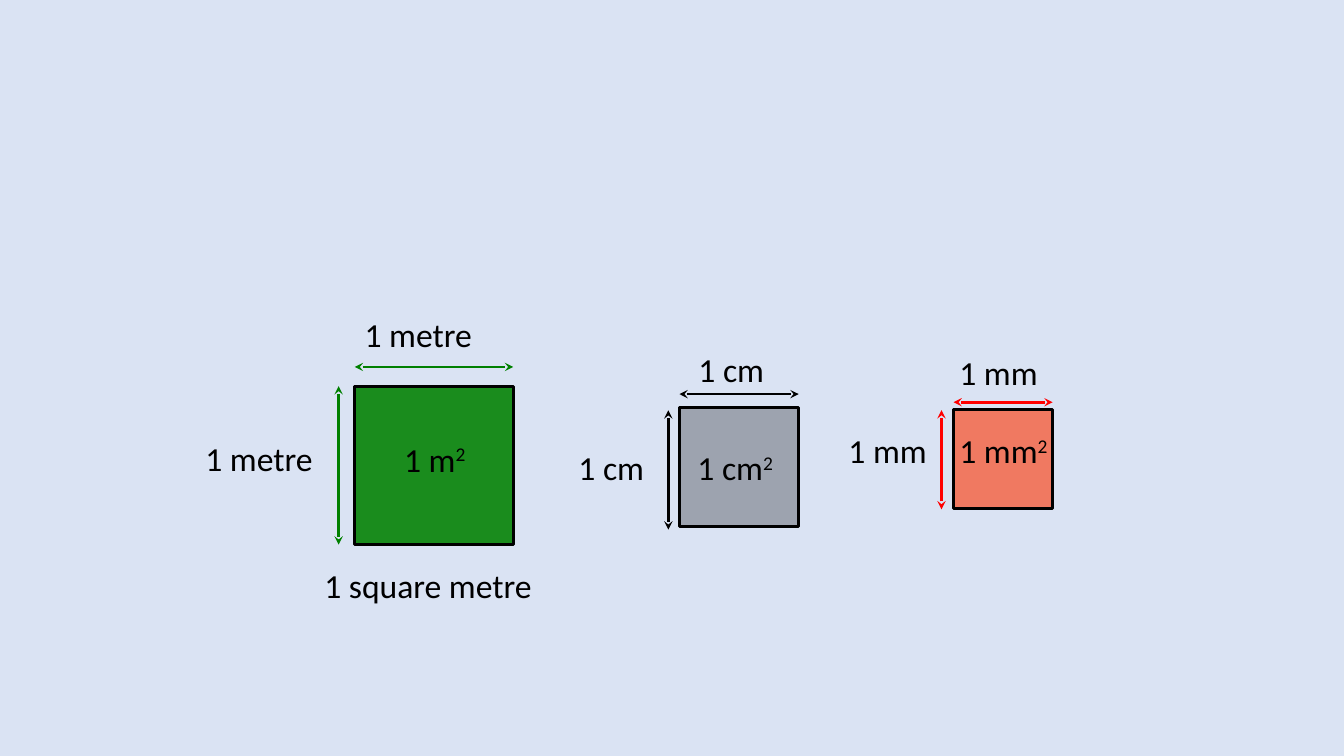
from dataclasses import dataclass

import lxml.etree
import pptx
import pptx.dml.color
import pptx.enum.shapes
import pptx.oxml.ns
import pptx.util

Pt = pptx.util.Pt
qn = pptx.oxml.ns.qn

COLOURS = {
    "background": "DAE3F3",
    "ink": "000000",
    "green": "008000",
    "orange": "FF3300",
    "red": "FF0000",
}


@dataclass
class Unit:
    length: str
    symbol: str
    fill: str
    opacity: int
    arrow: str
    width_gap: float
    height_gap: float
    height_drop: float
    width_label: tuple
    height_label: tuple
    area_label: tuple


METRE = Unit("1 metre", "1 m", "green", 88, "green", 13.7, 11.5, 0,
             (0, -55.4, 113), (-113.8, 33.8, 113), (28.1, 33.8, 79))
CENTIMETRE = Unit("1 cm", "1 cm", "ink", 28, "ink", 9.4, 7.9, 2.2,
                  (6.5, -45.4, 85), (-79.2, 24.5, 113), (5.8, 24.5, 79))
MILLIMETRE = Unit("1 mm", "1 mm", "orange", 60, "red", 5, 8.6, 0.7,
                  (-2.9, -44.6, 85), (-82.1, 11.5, 113), (-2.9, 11.5, 79))


def rgb(name):
    return pptx.dml.color.RGBColor.from_string(COLOURS[name])


def add_label(slide, left, top, width, height, text, power=None):
    frame = slide.shapes.add_textbox(Pt(left), Pt(top), Pt(width), Pt(height)).text_frame
    frame.word_wrap = True
    paragraph = frame.paragraphs[0]
    for part in filter(None, (text, power)):
        run = paragraph.add_run()
        run.text = part
        run.font.name = "Calibri"
        run.font.size = Pt(24)
        run.font.color.rgb = rgb("ink")
    if power:
        run.font._element.set("baseline", "30000")


def add_arrow(slide, x1, y1, x2, y2, colour):
    arrow = slide.shapes.add_connector(
        pptx.enum.shapes.MSO_CONNECTOR.STRAIGHT, Pt(x1), Pt(y1), Pt(x2), Pt(y2))
    arrow.line.color.rgb = rgb(colour)
    arrow.line.width = Pt(2)
    outline = arrow.line._get_or_add_ln()
    for end in ("a:headEnd", "a:tailEnd"):
        lxml.etree.SubElement(outline, qn(end), type="stealth")
    lxml.etree.SubElement(arrow._element.spPr, qn("a:effectLst"))


def add_square(slide, left, top, side, colour, opacity):
    square = slide.shapes.add_shape(
        pptx.enum.shapes.MSO_SHAPE.RECTANGLE, Pt(left), Pt(top), Pt(side), Pt(side))
    square.shadow.inherit = False
    square.fill.solid()
    square.fill.fore_color.rgb = rgb(colour)
    tint = square._element.spPr.find(qn("a:solidFill"))[0]
    lxml.etree.SubElement(tint, qn("a:alpha"), val=str(opacity * 1000))
    square.line.color.rgb = rgb("ink")
    square.line.width = Pt(2)


def add_unit_square(slide, left, top, side, unit):
    add_square(slide, left, top, side, unit.fill, unit.opacity)

    width_y = top - unit.width_gap
    add_arrow(slide, left, width_y, left + side, width_y, unit.arrow)
    height_x = left - unit.height_gap
    height_top = top + unit.height_drop
    add_arrow(slide, height_x, height_top + side, height_x, height_top, unit.arrow)

    for dx, dy, width in (unit.width_label, unit.height_label):
        add_label(slide, left + dx, top + dy, width, 36, unit.length)
    dx, dy, width = unit.area_label
    add_label(slide, left + dx, top + dy, width, 46, unit.symbol, "2")


def main():
    deck = pptx.Presentation()
    deck.slide_width, deck.slide_height = Pt(960), Pt(540)
    slide = deck.slides.add_slide(deck.slide_layouts[6])
    slide.background.fill.solid()
    slide.background.fill.fore_color.rgb = rgb("background")

    add_unit_square(slide, 253.4, 275.8, 113.2, METRE)
    add_label(slide, 224.6, 399.6, 198.7, 46, "1 square metre")
    add_unit_square(slide, 485.3, 290.9, 85.2, CENTIMETRE)
    add_unit_square(slide, 681.1, 292.3, 70.8, MILLIMETRE)
    deck.save("out.pptx")


if __name__ == "__main__":
    main()
